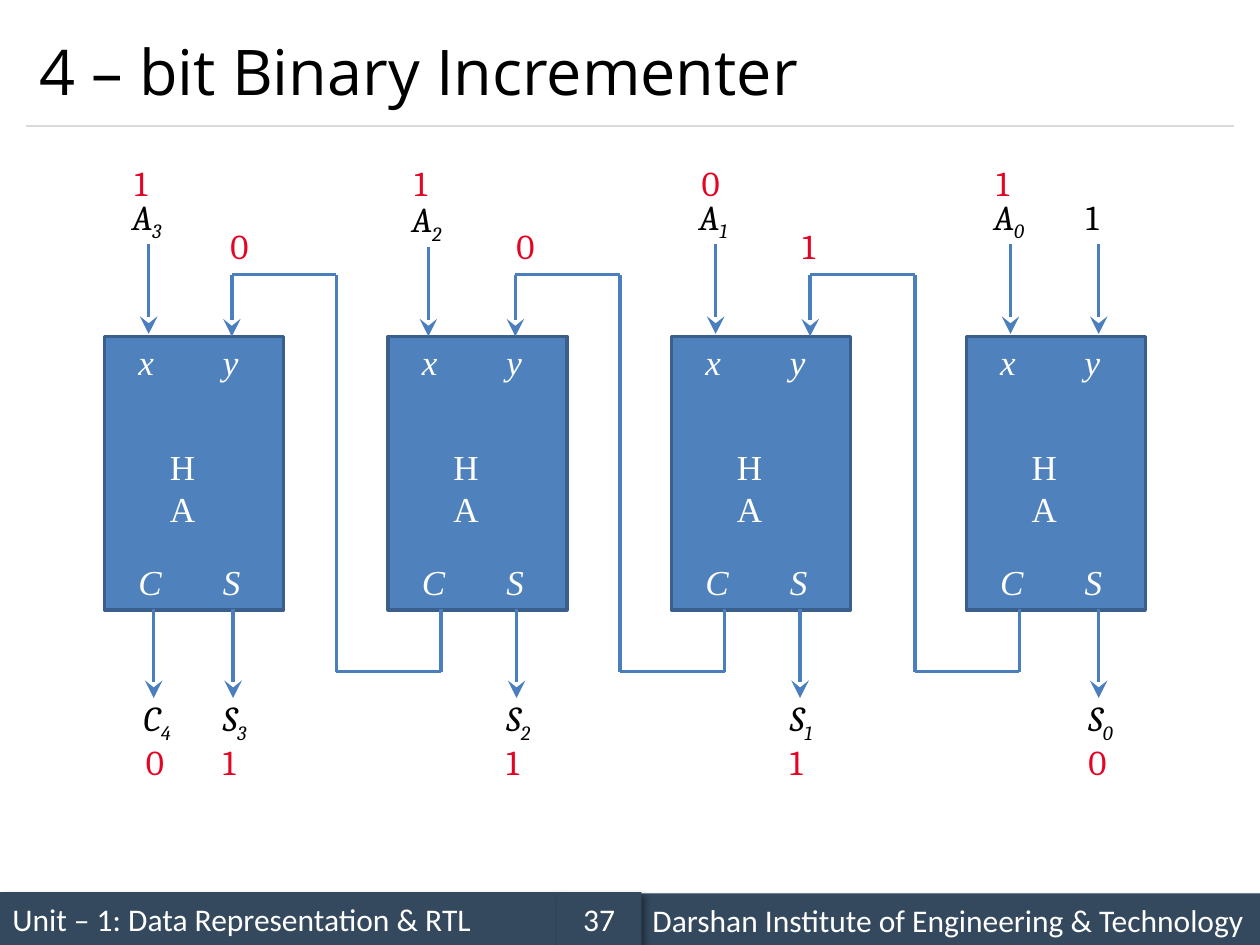
from dataclasses import dataclass
from typing import Optional

from lxml import etree
from pptx import Presentation
from pptx import util as u
from pptx.dml.color import RGBColor
from pptx.enum import shapes, text
from pptx.oxml import ns


@dataclass(frozen=True)
class Theme:
    bar: str = "34495E"
    rule: str = "D9D9D9"
    block: str = "4F81BD"
    border: str = "3A5F8C"
    wire: str = "4B7EBC"
    ink: str = "000000"
    white: str = "FFFFFF"
    bit: str = "E40524"
    title_size: int = 36
    label_size: int = 20
    footer_size: int = 18
    wire_width: float = 2
    title_font: str = "Open Sans"
    label_font: str = "Cambria"
    block_font: str = "Times New Roman"
    footer_font: str = "Calibri"


@dataclass(frozen=True)
class HalfAdder:
    index: str
    left: float
    input_x: float
    sum_x: float
    input_bit: str
    sum_bit: str
    carry_in: Optional[str] = None
    carry_bit_x: float = 0
    input_drop: float = 0


@dataclass(frozen=True)
class FooterPart:
    left: float
    top: float
    width: float
    wording: str
    align: text.PP_ALIGN = text.PP_ALIGN.LEFT


THEME = Theme()
BLOCK_TOP, BLOCK_WIDTH, BLOCK_HEIGHT = 2.67, 1.42, 2.17
BLOCK_BOTTOM = 4.83
CARRY_TOP, CARRY_BOTTOM, CARRY_STEP = 2.18, 5.33, 0.83
ARROW_LENGTH = 0.71

ADDERS = [
    HalfAdder("0", 7.67, 8.02, 8.72, "1", "0"),
    HalfAdder("1", 5.33, 5.68, 6.35, "0", "1", "1", 6.27),
    HalfAdder("2", 3.08, 3.40, 4.10, "1", "1", "0", 4.00, 0.02),
    HalfAdder("3", 0.83, 1.18, 1.85, "1", "1", "0", 1.73),
]
# Terminal letters inside a half adder: offset from its left edge, and top
TERMINALS = [("x", 0.17, 2.65), ("y", 0.84, 2.65), ("C", 0.17, 4.4), ("S", 0.84, 4.4)]
FOOTER = [
    FooterPart(0, 7.08, 4.42, "Unit – 1: Data Representation & RTL"),
    FooterPart(5.08, 7.09, 4.92, "Darshan Institute of Engineering & Technology"),
    FooterPart(4.42, 7.08, 0.67, "37", text.PP_ALIGN.CENTER),
]


def add_run(paragraph, wording: str, font: str, size: float, color: str,
            italic: bool = False, subscript: bool = False) -> None:
    run = paragraph.add_run()
    run.text = wording
    run.font.name, run.font.size = font, u.Pt(size)
    run.font.color.rgb = RGBColor.from_string(color)
    if italic:
        run.font.italic = True
    if subscript:
        run.font._element.set("baseline", "-25000")


def add_label(parent, left: float, top: float, wording: str, color: str,
              font: str = THEME.label_font, width: float = 0.36,
              italic: bool = False, subscript: str = "", wrap: bool = False) -> None:
    box = parent.add_textbox(u.Inches(left), u.Inches(top), u.Inches(width), u.Inches(0.44))
    box.text_frame.word_wrap = wrap
    paragraph = box.text_frame.paragraphs[0]
    add_run(paragraph, wording, font, THEME.label_size, color, italic)
    if subscript:
        add_run(paragraph, subscript, font, THEME.label_size, color, italic, True)


def add_signal(parent, left: float, top: float, letter: str, index: str) -> None:
    add_label(parent, left, top, letter, THEME.ink, width=0.46,
              italic=True, subscript=index, wrap=True)


def add_bit(parent, left: float, top: float, bit: str) -> None:
    add_label(parent, left, top, bit, THEME.bit)


def add_wire(parent, start: tuple[float, float], end: tuple[float, float],
             arrow: bool = False, color: str = THEME.wire,
             width: float = THEME.wire_width) -> None:
    wire = parent.add_connector(shapes.MSO_CONNECTOR.STRAIGHT,
                                *(u.Inches(value) for value in (*start, *end)))
    wire.line.color.rgb = RGBColor.from_string(color)
    wire.line.width = u.Pt(width)
    if arrow:
        etree.SubElement(wire.line._get_or_add_ln(), ns.qn("a:tailEnd"),
                         type="stealth", w="lg", len="lg")
    etree.SubElement(wire._element.spPr, ns.qn("a:effectLst"))


def add_down_arrow(parent, x: float, top: float) -> None:
    add_wire(parent, (x, top), (x, top + ARROW_LENGTH), arrow=True)


def add_rect(parent, left: float, top: float, width: float, height: float, fill: str):
    rect = parent.add_shape(shapes.MSO_SHAPE.RECTANGLE, u.Inches(left), u.Inches(top),
                            u.Inches(width), u.Inches(height))
    rect.shadow.inherit = False
    rect.fill.solid()
    rect.fill.fore_color.rgb = RGBColor.from_string(fill)
    return rect


def add_footer_part(parent, part: FooterPart) -> None:
    bar = add_rect(parent, part.left, part.top, part.width, 0.42, THEME.bar)
    bar.line.fill.background()
    effects = bar._element.spPr.find(ns.qn("a:effectLst"))
    shadow = etree.SubElement(effects, ns.qn("a:outerShdw"), blurRad=str(u.Pt(4)),
                              dist=str(u.Pt(3)), dir="2700000", algn="tl", rotWithShape="0")
    shade = etree.SubElement(shadow, ns.qn("a:srgbClr"), val="000000")
    etree.SubElement(shade, ns.qn("a:alpha"), val="40000")
    bar.text_frame.vertical_anchor = text.MSO_ANCHOR.MIDDLE
    paragraph = bar.text_frame.paragraphs[0]
    paragraph.alignment = part.align
    add_run(paragraph, part.wording, THEME.footer_font, THEME.footer_size, THEME.white)


def add_half_adder(slide_shapes, adder: HalfAdder) -> None:
    # Block with its terminals
    group = slide_shapes.add_group_shape().shapes
    block = add_rect(group, adder.left, BLOCK_TOP, BLOCK_WIDTH, BLOCK_HEIGHT, THEME.block)
    block.line.color.rgb = RGBColor.from_string(THEME.border)
    block.line.width = u.Pt(2)
    for letter, offset, top in TERMINALS:
        add_label(group, adder.left + offset, top, letter, THEME.white,
                  THEME.block_font, italic=True)
    add_label(group, adder.left + 0.42, 3.49, "HA", THEME.white,
              THEME.block_font, width=0.57, wrap=True)

    # Input above and sum below
    add_down_arrow(slide_shapes, adder.input_x, 1.94 + adder.input_drop)
    add_signal(slide_shapes, adder.input_x - 0.23, 1.5 + adder.input_drop, "A", adder.index)
    add_bit(slide_shapes, adder.input_x - 0.21, 1.23, adder.input_bit)
    add_down_arrow(slide_shapes, adder.sum_x, BLOCK_BOTTOM)
    add_signal(slide_shapes, adder.sum_x - 0.18, 5.48, "S", adder.index)
    add_bit(slide_shapes, adder.sum_x - 0.18, 5.83, adder.sum_bit)


def add_carry(slide_shapes, source: HalfAdder, target: HalfAdder) -> None:
    group = slide_shapes.add_group_shape().shapes
    start = source.left + 0.42
    middle, end = start - CARRY_STEP, start - 2 * CARRY_STEP
    route = [(start, BLOCK_BOTTOM), (start, CARRY_BOTTOM), (middle, CARRY_BOTTOM),
             (middle, CARRY_TOP), (end, CARRY_TOP), (end, BLOCK_TOP)]
    for corner, following in zip(route, route[1:]):
        add_wire(group, corner, following, arrow=following == route[-1])
    add_bit(slide_shapes, target.carry_bit_x, 1.73, target.carry_in)


def main() -> None:
    deck = Presentation()
    deck.slide_width, deck.slide_height = u.Inches(10), u.Inches(7.5)
    slide = deck.slides.add_slide(deck.slide_layouts[5])

    # Footer, title and rule
    for part in FOOTER:
        add_footer_part(slide.shapes, part)
    add_wire(slide.shapes, (0.21, 1), (9.79, 1), color=THEME.rule, width=0.75)
    title = slide.shapes.title
    title.left, title.top = u.Inches(0.21), u.Inches(0.12)
    title.width, title.height = u.Inches(9.58), u.Inches(0.88)
    title.text_frame.vertical_anchor = text.MSO_ANCHOR.MIDDLE
    heading = title.text_frame.paragraphs[0]
    heading.alignment = text.PP_ALIGN.LEFT
    add_run(heading, "4 – bit Binary Incrementer", THEME.title_font, THEME.title_size, THEME.ink)

    # Half adders and the carries between them
    for adder in ADDERS:
        add_half_adder(slide.shapes, adder)
    for source, target in zip(ADDERS, ADDERS[1:]):
        add_carry(slide.shapes, source, target)

    # Increment input and final carry
    add_down_arrow(slide.shapes, 8.72, 1.94)
    add_label(slide.shapes, 8.52, 1.5, "1", THEME.ink, width=0.39, wrap=True)
    add_down_arrow(slide.shapes, 1.22, BLOCK_BOTTOM)
    add_signal(slide.shapes, 1.04, 5.48, "C", "4")
    add_bit(slide.shapes, 1.06, 5.83, "0")

    deck.save("out.pptx")


if __name__ == "__main__":
    main()
